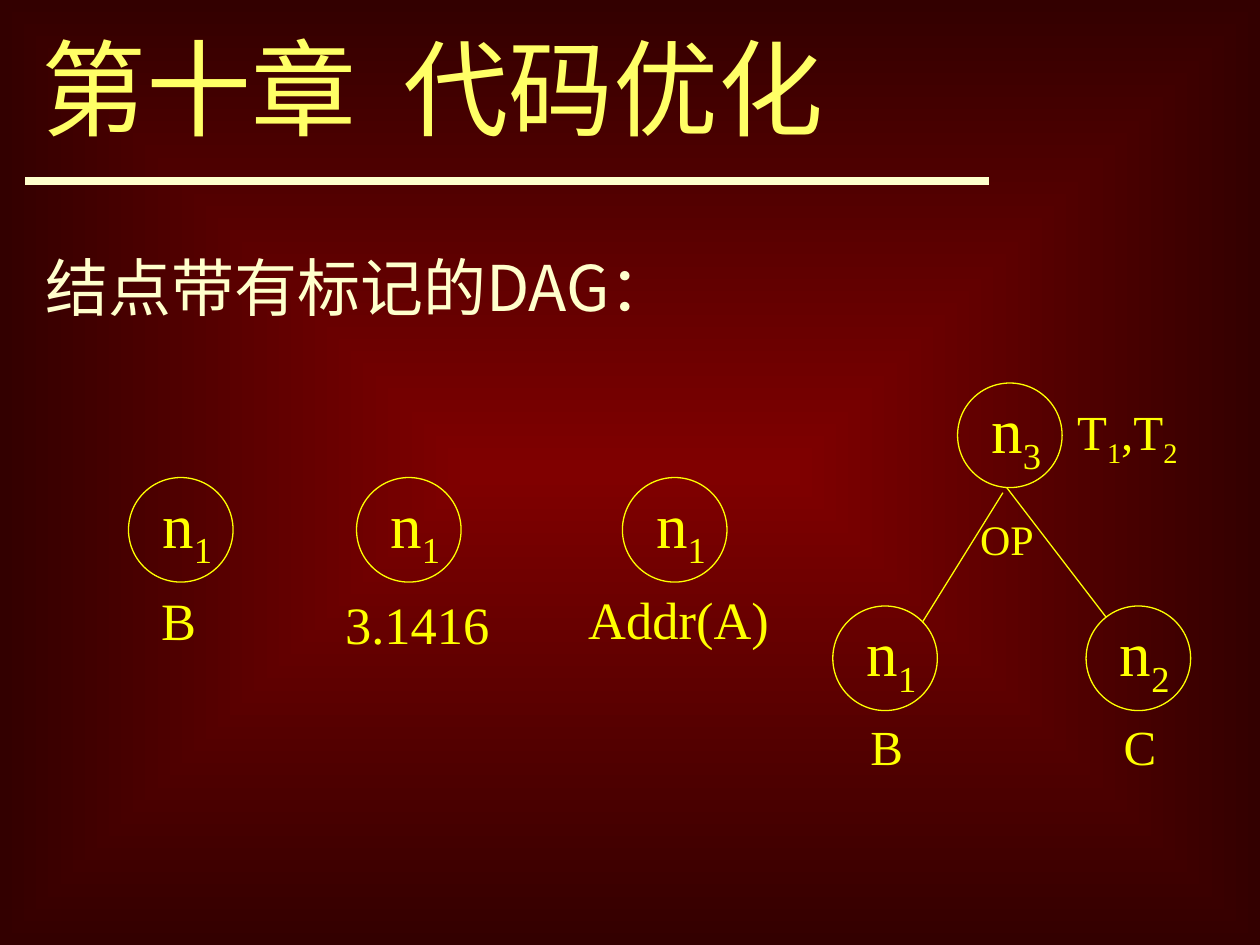
from lxml import etree
from pptx import Presentation
from pptx.dml.color import RGBColor
from pptx.enum.shapes import MSO_CONNECTOR as CONN, MSO_SHAPE as SHAPE
from pptx.enum.text import MSO_AUTO_SIZE as AUTO
from pptx.oxml import parse_xml
from pptx.oxml.ns import nsdecls, qn
from pptx.util import Inches, Pt

YELLOW = RGBColor(0xFF, 0xFF, 0x00)
TITLE_YELLOW = RGBColor(0xFF, 0xFF, 0x66)
CREAM = RGBColor(0xFF, 0xFF, 0xCC)
RED = RGBColor(0x80, 0x00, 0x00)
DARK_RED = RGBColor(0x33, 0x00, 0x00)

SERIF = "Times New Roman"
CJK = "Noto Sans CJK SC"
DIAMETER = 0.83
SUBSCRIPT_MARK = "_"

TITLE = "第十章  代码优化"
HEADING = "结点带有标记的DAG："

NODES = [
    ((1.02, 3.79), "n_1", "B", 30, (1.18, 4.62, 0.5, 0.6)),
    ((2.83, 3.79), "n_1", "3.1416", 30, (2.64, 4.65, 1.36, 0.6)),
    ((4.94, 3.79), "n_1", "Addr(A)", 30, (4.57, 4.61, 1.65, 0.6)),
    ((7.6, 3.04), "n_3", "T_1,T_2", 28, (8.45, 3.14, 1.01, 0.63)),
    ((6.61, 4.81), "n_1", "B", 28, (6.81, 5.64, 0.48, 0.57)),
    ((8.62, 4.81), "n_2", "C", 28, (8.82, 5.64, 0.48, 0.57)),
]
EDGES = [((7.96, 3.91), (7.32, 4.94)), ((7.99, 3.87), (8.78, 4.9))]


def set_background(s):
    fill = s.background.fill
    fill.gradient()
    for stop, color in zip(fill.gradient_stops, (RED, DARK_RED)):
        stop.color.rgb = color
    lin = next(s.element.iter(qn("a:lin")))
    lin.getparent().replace(lin, parse_xml(
        f'<a:path {nsdecls("a")} path="rect">'
        '<a:fillToRect l="50000" t="50000" r="50000" b="50000"/></a:path>'))


def add_run(p, text, size, color, font, subscript=False):
    r = p.add_run()
    r.text = text
    r.font.size, r.font.name = Pt(size), font
    r.font.color.rgb = color
    rPr = r.font._element
    rPr.find(qn("a:latin")).addnext(
        parse_xml(f'<a:ea {nsdecls("a")} typeface="{CJK}"/>'))
    if subscript:
        rPr.set("baseline", "-25000")


def add_text(shapes, box, text, size, color=YELLOW, font=SERIF, wrap=False):
    tf = shapes.add_textbox(*map(Inches, box)).text_frame
    tf.word_wrap = wrap
    tf.auto_size = AUTO.SHAPE_TO_FIT_TEXT
    p = tf.paragraphs[0]
    first, *rest = text.split(SUBSCRIPT_MARK)
    add_run(p, first, size, color, font)
    for part in rest:
        add_run(p, part[0], size, color, font, True)
        if part[1:]:
            add_run(p, part[1:], size, color, font)


def add_line(shapes, start, end, color=YELLOW, width=0.75):
    line = shapes.add_connector(CONN.STRAIGHT, *map(Inches, start + end))
    line.line.color.rgb = color
    line.line.width = Pt(width)
    etree.SubElement(line._element.spPr, qn("a:effectLst"))


def add_node(shapes, at, name, label, label_size, label_box):
    x, y = at
    sp = shapes.add_shape(SHAPE.OVAL, *map(Inches, (x, y, DIAMETER, DIAMETER)))
    sp.shadow.inherit = False
    sp.fill.background()
    sp.line.color.rgb = YELLOW
    sp.line.width = Pt(0.75)
    add_text(shapes, (x + 0.17, y + 0.01, 0.62, 0.79), name, 36)
    add_text(shapes, label_box, label, label_size)


def main():
    prs = Presentation()
    prs.slide_width, prs.slide_height = Inches(10), Inches(7.5)
    s = prs.slides.add_slide(prs.slide_layouts[6])
    set_background(s)

    add_line(s.shapes, (0.2, 1.44), (7.85, 1.44), CREAM, 4.5)
    add_text(s.shapes, (0.26, 1.92, 5.49, 0.7), HEADING, 36, CREAM, CJK)
    for node in NODES:
        add_node(s.shapes.add_group_shape().shapes, *node)
    operator = s.shapes.add_group_shape().shapes
    for start, end in EDGES:
        add_line(operator, start, end)
    add_text(operator, (7.68, 4.03, 0.65, 0.5), "OP", 24)
    add_text(s.shapes, (0.23, 0.14, 7.36, 1.1), TITLE, 60, TITLE_YELLOW, "Arial", True)

    prs.save("out.pptx")


if __name__ == "__main__":
    main()
